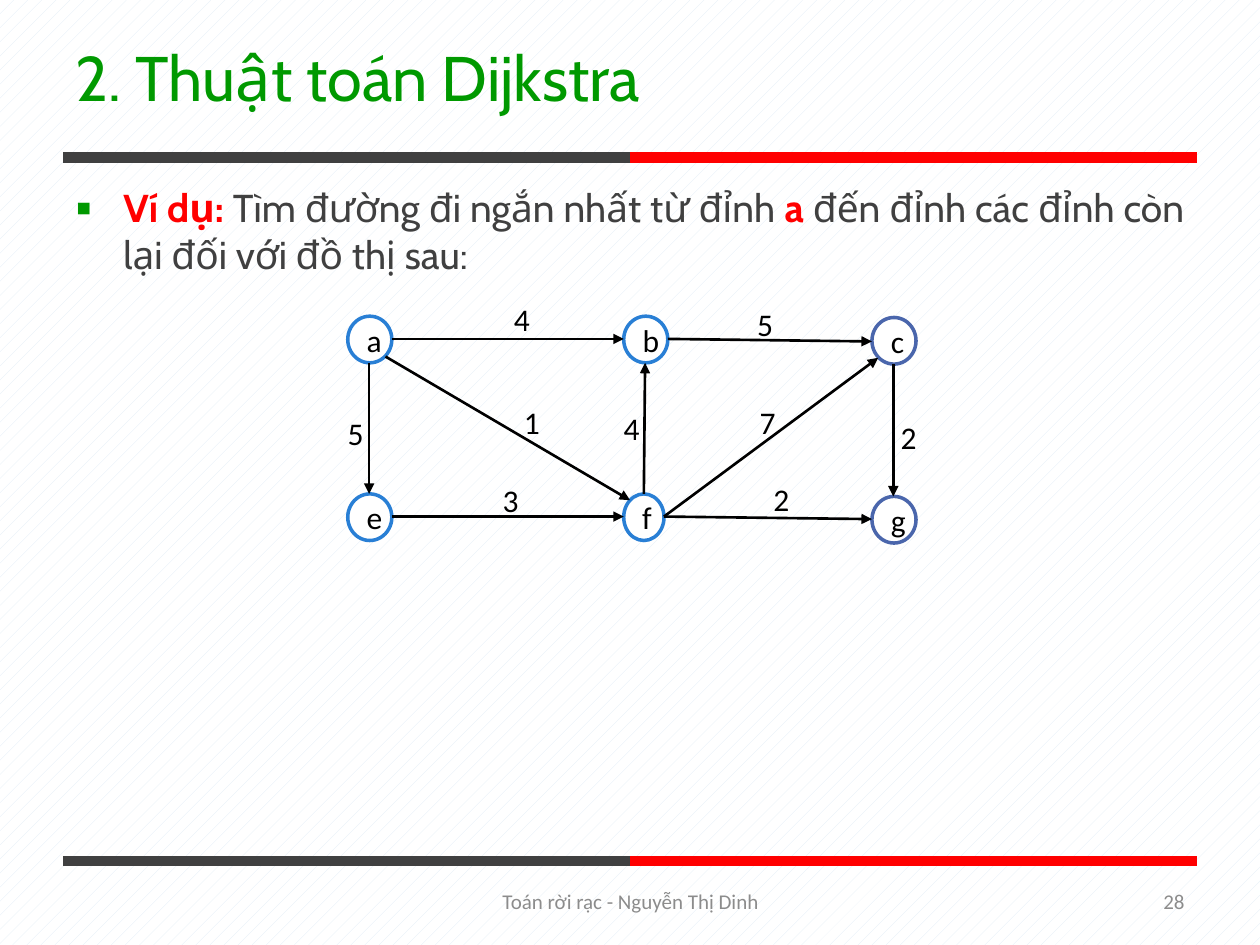
import math

import lxml.etree
import pptx
import pptx.dml.color
import pptx.enum.dml
import pptx.enum.shapes
import pptx.enum.text
import pptx.oxml.ns
import pptx.util

Inches, Pt = pptx.util.Inches, pptx.util.Pt
RGBColor = pptx.dml.color.RGBColor
PP_ALIGN = pptx.enum.text.PP_ALIGN
MIDDLE = pptx.enum.text.MSO_ANCHOR.MIDDLE
qn = pptx.oxml.ns.qn

GREEN = RGBColor(0x00, 0x99, 0x00)
RED = RGBColor(0xFF, 0x00, 0x00)
DARK = RGBColor(0x40, 0x40, 0x40)
GRAY = RGBColor(0x8C, 0x8C, 0x8C)
BLACK = RGBColor(0x00, 0x00, 0x00)
WHITE = RGBColor(0xFF, 0xFF, 0xFF)
BLUE = RGBColor(0x29, 0x7F, 0xD5)
INDIGO = RGBColor(0x4A, 0x66, 0xAC)
PALE_BLUE = RGBColor(0xE0, 0xEB, 0xF6)


def style_run(run, font_name, size, color, bold=False):
    run.font.name = font_name
    run.font.size = Pt(size)
    run.font.color.rgb = color
    run.font.bold = bold


def add_line(start, end, color, width):
    """Draw a shadowless straight line between two points given in inches."""
    line = slide.shapes.add_connector(
        pptx.enum.shapes.MSO_CONNECTOR.STRAIGHT,
        *(Inches(value) for value in (*start, *end)))
    line.line.color.rgb = color
    line.line.width = Pt(width)
    lxml.etree.SubElement(line._element.spPr, qn("a:effectLst"))
    return line


prs = pptx.Presentation()
prs.slide_width, prs.slide_height = Inches(10), Inches(7.5)
slide = prs.slides.add_slide(prs.slide_layouts[1])

background = slide.background.fill
background.patterned()
background.pattern = pptx.enum.dml.MSO_PATTERN.PERCENT_10
background.fore_color.rgb = PALE_BLUE
background.back_color.rgb = WHITE

# Two-coloured rules under the title and above the footer
for y in (1.25, 6.83):
    add_line((0.5, y), (5, y), DARK, 5.75)
    add_line((5, y), (9.5, y), RED, 5.75)

# Title
title = slide.shapes.title
title.left, title.top, title.width, title.height = map(Inches, (0.5, 0.17, 9, 0.87))
title.text_frame.text = "2. Thuật toán Dijkstra"
title.text_frame.vertical_anchor = MIDDLE
title.text_frame.paragraphs[0].alignment = PP_ALIGN.LEFT
style_run(title.text_frame.paragraphs[0].runs[0], "Cabin", 36, GREEN)

# Problem statement
problem = slide.placeholders[1]
problem.left, problem.top, problem.width, problem.height = map(Inches, (0.5, 1.41, 9, 0.7))
problem.text_frame.auto_size = pptx.enum.text.MSO_AUTO_SIZE.NONE
statement = problem.text_frame.paragraphs[0]
statement.alignment = PP_ALIGN.JUSTIFY
statement.space_before = Pt(0)
for words, color, bold in (
    ("Ví dụ: ", RED, True),
    ("Tìm đường đi ngắn nhất từ đỉnh ", DARK, False),
    ("a ", RED, True),
    ("đến đỉnh các đỉnh còn lại đối với đồ thị sau:", DARK, False),
):
    run = statement.add_run()
    run.text = words
    style_run(run, "Cabin", 22.2, color, bold)

bullet = statement._p.get_or_add_pPr()
bullet.set("marL", str(Inches(0.38)))
bullet.set("indent", str(Inches(-0.38)))
bullet_color = lxml.etree.SubElement(bullet, qn("a:buClr"))
lxml.etree.SubElement(bullet_color, qn("a:srgbClr"), val=str(GREEN))
lxml.etree.SubElement(bullet, qn("a:buSzPct"), val="120000")
lxml.etree.SubElement(bullet, qn("a:buFont"), typeface="Arial")
lxml.etree.SubElement(bullet, qn("a:buChar"), char="▪")

# Footer
for words, left, width, alignment in (
    ("28", 7.17, 2.33, PP_ALIGN.RIGHT),
    ("Toán rời rạc - Nguyễn Thị Dinh", 3.42, 3.17, PP_ALIGN.CENTER),
):
    footer = slide.shapes.add_textbox(Inches(left), Inches(6.95), Inches(width), Inches(0.4))
    footer.text_frame.word_wrap = True
    footer.text_frame.vertical_anchor = MIDDLE
    footer.text_frame.text = words
    footer.text_frame.paragraphs[0].alignment = alignment
    style_run(footer.text_frame.paragraphs[0].runs[0], "Calibri", 12, GRAY)

# Graph vertices: left, top, width, outline
VERTEX_HEIGHT = 0.37
vertices = {
    "a": (2.76, 2.51, 0.35, BLUE),
    "b": (4.95, 2.51, 0.35, BLUE),
    "c": (6.92, 2.52, 0.35, INDIGO),
    "e": (2.76, 3.92, 0.35, BLUE),
    "f": (4.95, 3.92, 0.32, BLUE),
    "g": (6.92, 3.94, 0.35, INDIGO),
}
for letter, (left, top, width, outline) in vertices.items():
    vertex = slide.shapes.add_shape(
        pptx.enum.shapes.MSO_SHAPE.OVAL,
        Inches(left), Inches(top), Inches(width), Inches(VERTEX_HEIGHT))
    vertex.shadow.inherit = False
    vertex.fill.solid()
    vertex.fill.fore_color.rgb = WHITE
    vertex.line.color.rgb = outline
    vertex.line.width = Pt(2)
    vertex.text_frame.vertical_anchor = MIDDLE
    vertex.text_frame.text = letter
    vertex.text_frame.paragraphs[0].alignment = PP_ALIGN.CENTER
    style_run(vertex.text_frame.paragraphs[0].runs[0], "Calibri", 18, BLACK)

# Weighted edges: angles are clockwise from the right-hand side of a vertex
RIGHT, LOWER_RIGHT, BOTTOM, LOWER_LEFT, LEFT, UPPER_LEFT, TOP = range(0, 271, 45)
edges = (
    ("a", RIGHT, "b", LEFT, "4", 3.98, 2.33),
    ("e", RIGHT, "f", LEFT, "3", 3.89, 3.77),
    ("b", RIGHT, "c", LEFT, "5", 5.91, 2.37),
    ("f", RIGHT, "c", LOWER_LEFT, "7", 5.93, 3.15),
    ("a", BOTTOM, "e", TOP, "5", 2.66, 3.24),
    ("f", TOP, "b", BOTTOM, "4", 4.85, 3.2),
    ("a", LOWER_RIGHT, "f", UPPER_LEFT, "1", 4.06, 3.15),
    ("f", RIGHT, "g", LEFT, "2", 6.04, 3.76),
    ("c", BOTTOM, "g", TOP, "2", 7.05, 3.27),
)
for source, source_angle, target, target_angle, weight, label_left, label_top in edges:
    ends = []
    for letter, angle in ((source, source_angle), (target, target_angle)):
        left, top, width, outline = vertices[letter]
        ends.append((
            round(left + width / 2 * (1 + math.cos(math.radians(angle))), 2),
            round(top + VERTEX_HEIGHT / 2 * (1 + math.sin(math.radians(angle))), 2)))
    edge = add_line(*ends, BLACK, 1.5)
    lxml.etree.SubElement(edge.line._get_or_add_ln(), qn("a:tailEnd"), type="triangle")

    label = slide.shapes.add_textbox(
        Inches(label_left), Inches(label_top), Inches(0.59), Inches(0.4))
    label.text_frame.word_wrap = True
    label.text_frame.auto_size = pptx.enum.text.MSO_AUTO_SIZE.SHAPE_TO_FIT_TEXT
    label.text_frame.text = weight
    style_run(label.text_frame.paragraphs[0].runs[0], "Calibri", 18, BLACK)

prs.save("out.pptx")
